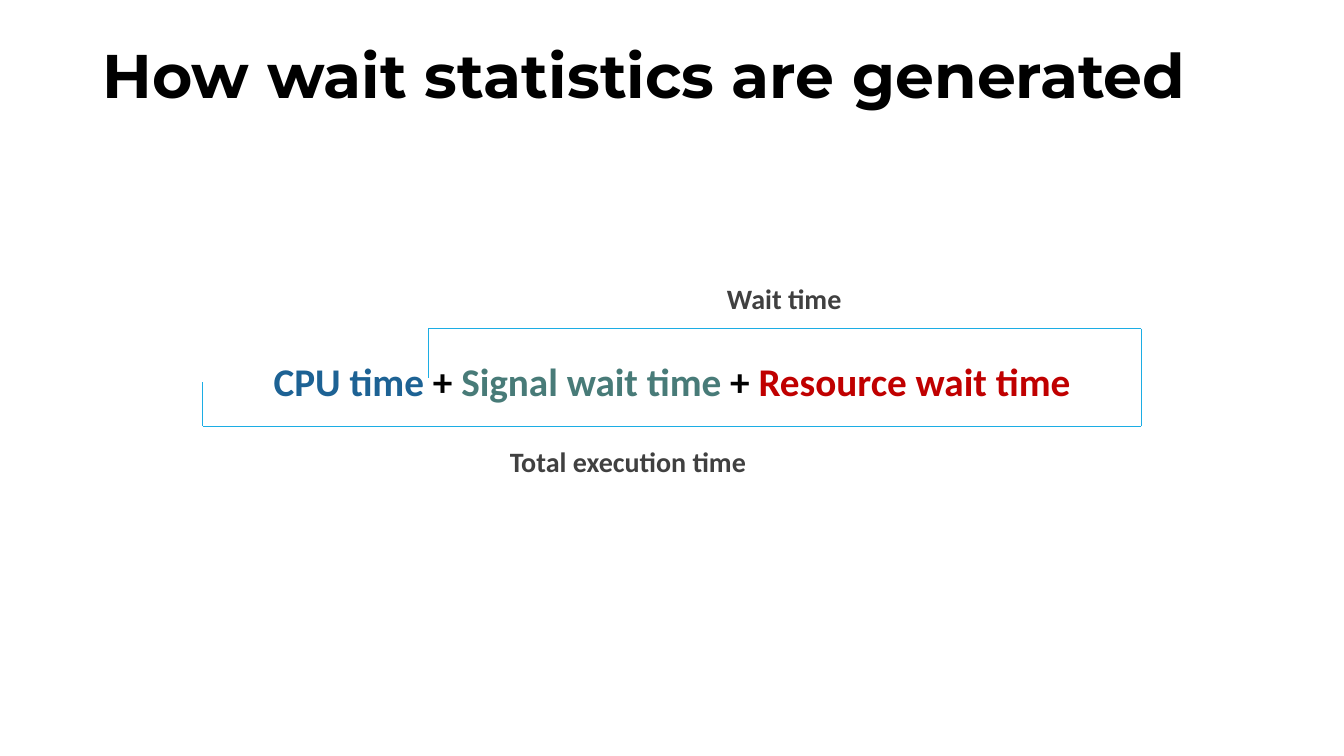
from itertools import pairwise

from lxml import etree
from pptx import Presentation
from pptx.dml.color import RGBColor
from pptx.enum.shapes import MSO_CONNECTOR
from pptx.enum.text import MSO_ANCHOR, PP_ALIGN
from pptx.oxml.ns import qn
from pptx.util import Inches, Pt

STRAIGHT = MSO_CONNECTOR.STRAIGHT
TOP = MSO_ANCHOR.TOP
LEFT, CENTER = PP_ALIGN.LEFT, PP_ALIGN.CENTER
COLUMNS, ROWS = 40, 30
BLACK, GRAY, BLUE, GREEN, RED, CYAN = (
    "000000", "404040", "1D6294", "487B78", "C00000", "1CADE4")


def color(hex_value):
    return RGBColor.from_string(hex_value)


class SlideBuilder:
    """Places styled elements on a slide by grid columns and rows."""

    title_font = {"name": "Montserrat", "size": Pt(44), "bold": True}
    formula_font = {"name": "Calibri", "size": Pt(28), "bold": True}
    label_font = {"name": "Calibri", "size": Pt(20), "bold": True}

    def __init__(self, presentation):
        self.column = presentation.slide_width / COLUMNS
        self.row = presentation.slide_height / ROWS
        self.slide = presentation.slides.add_slide(presentation.slide_layouts[6])

    def point(self, column, row):
        return round(column * self.column), round(row * self.row)

    def text(self, position, size, runs, font, **paragraph_format):
        box = self.slide.shapes.add_textbox(*self.point(*position), *self.point(*size))
        frame = box.text_frame
        frame.word_wrap = True
        frame.vertical_anchor = TOP
        paragraph = frame.paragraphs[0]
        for name, value in paragraph_format.items():
            setattr(paragraph, name, value)
        for words, hex_value in runs:
            run = paragraph.add_run()
            run.text = words
            for name, value in font.items():
                setattr(run.font, name, value)
            run.font.color.rgb = color(hex_value)

    def title(self, words):
        self.text((2.76, 1.6), (34.5, 3.48), [(words, BLACK)], self.title_font,
                  alignment=LEFT, line_spacing=0.9)

    def formula(self, position, size, runs):
        self.text(position, size, runs, self.formula_font, alignment=CENTER)

    def label(self, position, words):
        self.text(position, (9.3, 1.76), [(words, GRAY)], self.label_font,
                  alignment=CENTER)

    def bracket(self, corners):
        for start, end in pairwise(corners):
            line = self.slide.shapes.add_connector(
                STRAIGHT, *self.point(*start), *self.point(*end))
            line.line.color.rgb = color(CYAN)
            line.line.width = Pt(0.75)
            etree.SubElement(line._element.spPr, qn("a:effectLst"))


def main():
    presentation = Presentation()
    presentation.slide_width = Inches(13.33)
    presentation.slide_height = Inches(7.5)
    builder = SlideBuilder(presentation)

    total_left, wait_left, right = 6.03, 12.75, 33.97
    wait_top, total_bottom = 13.04, 16.92

    builder.title("How wait statistics are generated")
    builder.formula((total_left, 14), (right - total_left, 2.28), [
        ("CPU time ", BLUE),
        ("+ ", BLACK),
        ("Signal wait time ", GREEN),
        ("+ ", BLACK),
        ("Resource wait time", RED),
    ])
    builder.bracket([
        (total_left, 15.16),
        (total_left, total_bottom),
        (right, total_bottom),
        (right, wait_top),
        (wait_left, wait_top),
        (wait_left, 15),
    ])
    builder.label((18.69, 10.96), "Wait time")
    builder.label((14.04, 17.44), "Total execution time")
    presentation.save("out.pptx")


if __name__ == "__main__":
    main()
